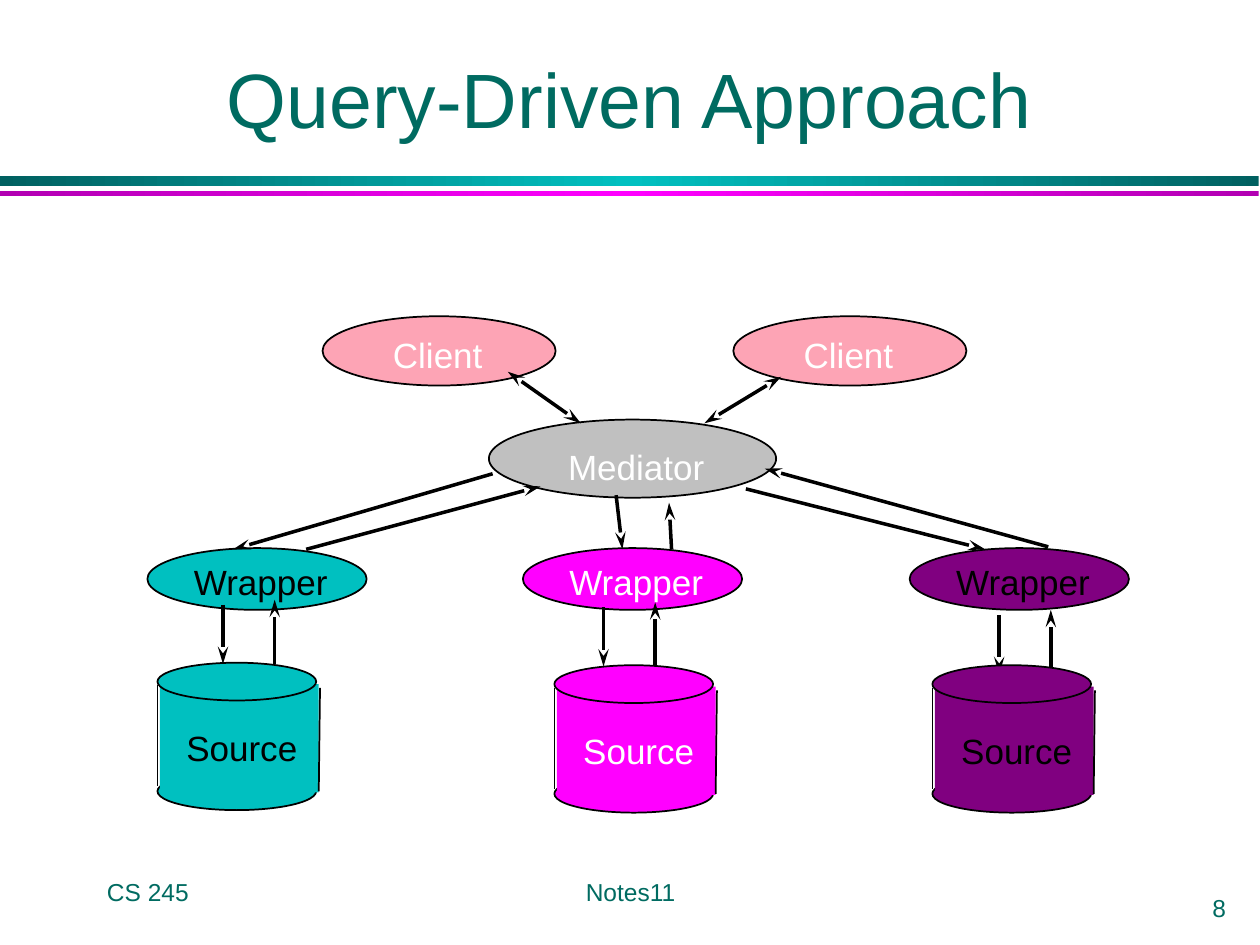
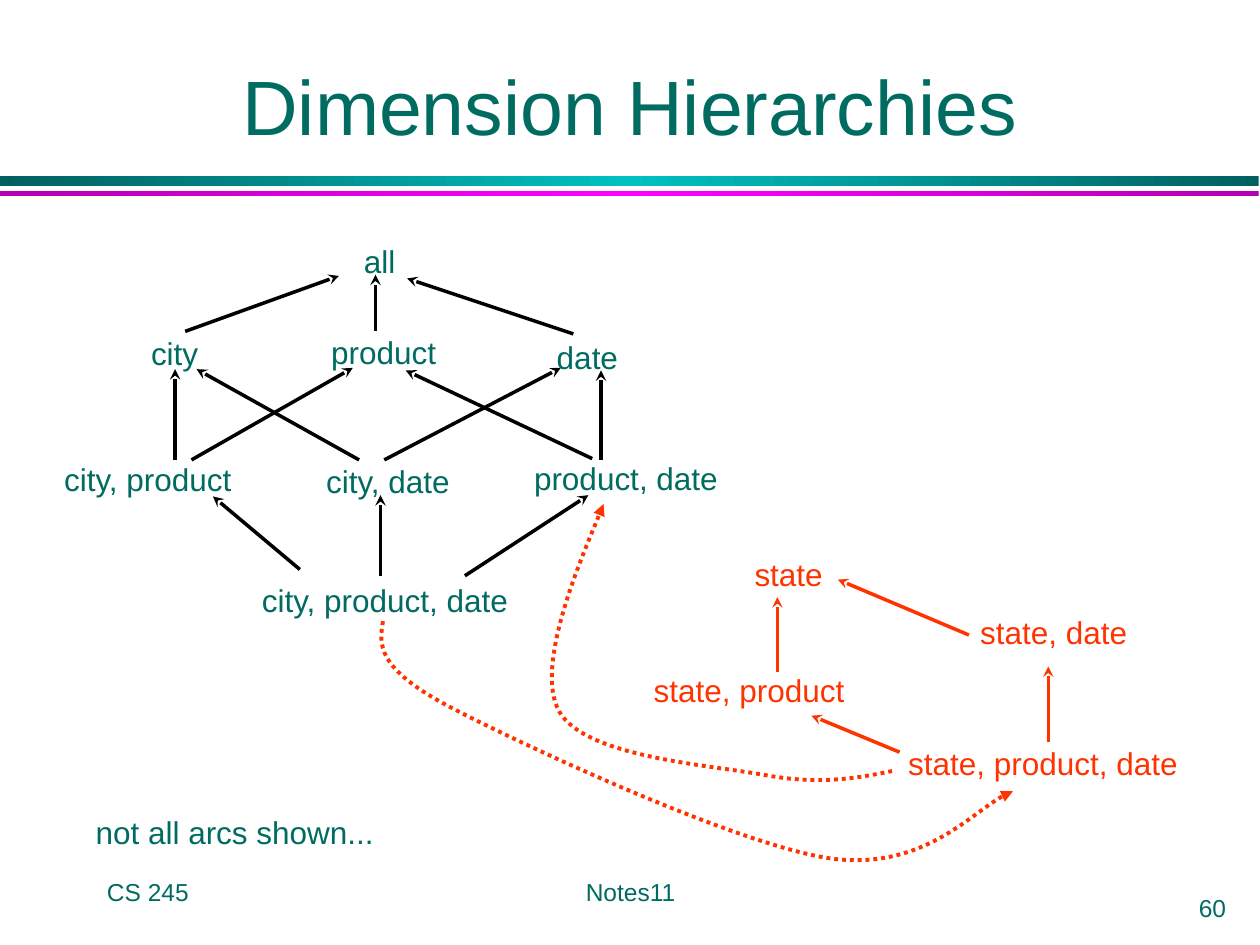
import copy

import pptx
import pptx.dml.color
import pptx.enum.dml
import pptx.enum.shapes
import pptx.enum.text
import pptx.oxml
import pptx.oxml.ns
import pptx.util

Inches = pptx.util.Inches
Pt = pptx.util.Pt
KIND = pptx.enum.shapes.MSO_SHAPE
ANCHOR = pptx.enum.text.MSO_ANCHOR
FIT = pptx.enum.text.MSO_AUTO_SIZE
ALIGN = {
    "l": pptx.enum.text.PP_ALIGN.LEFT,
    "c": pptx.enum.text.PP_ALIGN.CENTER,
    "r": pptx.enum.text.PP_ALIGN.RIGHT,
}

# Shared look
FONT = "Arial"
GREEN, RED, BLACK, WHITE = "006B61", "FF3300", "000000", "FFFFFF"
TEAL, PINK, PURPLE, ROSE, GRAY = "00C0C0", "FF00FF", "800080", "FDA4B5", "C0C0C0"
BANDS = [(1.4, 0.08, "006060", TEAL), (1.52, 0.04, "B200B2", PINK)]


def rgb(code):
    return pptx.dml.color.RGBColor.from_string(code)


def write(frame, text, size=18, color=GREEN, align="l", anchor=ANCHOR.TOP,
          wrap=False, fit=FIT.NONE):
    """Fill a text frame with one formatted line."""
    frame.word_wrap = wrap
    frame.auto_size = fit
    frame.vertical_anchor = anchor
    frame.margin_left = frame.margin_right = Inches(0.1)
    frame.margin_top = frame.margin_bottom = Inches(0.05)
    para = frame.paragraphs[0]
    para.alignment = ALIGN[align]
    run = para.add_run()
    run.text = text
    run.font.name = FONT
    run.font.size = Pt(size)
    run.font.color.rgb = rgb(color)


def label(slide, text, box, **style):
    item = slide.shapes.add_textbox(*map(Inches, box))
    write(item.text_frame, text, **style)


def tag(slide, text, x, y, wide, size=18, color=GREEN):
    """Place a label that grows with its text."""
    high = 0.43 if size == 20 else 0.4
    label(slide, text, (x, y, wide, high), size=size, color=color,
          fit=FIT.SHAPE_TO_FIT_TEXT)


def shape(slide, kind, box, fill, edge=None):
    item = slide.shapes.add_shape(kind, *map(Inches, box))
    item.shadow.inherit = False
    item.fill.solid()
    item.fill.fore_color.rgb = rgb(fill)
    if edge:
        item.line.color.rgb = rgb(edge)
        item.line.width = Pt(1)
    else:
        item.line.fill.background()
    return item


def tip(item, end, kind, size="med"):
    """Add an arrowhead; end is head or tail."""
    line = item._element.spPr.find(pptx.oxml.ns.qn("a:ln"))
    line.append(pptx.oxml.parse_xml(
        f'<a:{end}End {pptx.oxml.ns.nsdecls("a")} type="{kind}" w="med" len="{size}"/>'))


def link(slide, x1, y1, x2, y2, color=BLACK, width=2, ends=("tail",), size="med"):
    item = slide.shapes.add_connector(
        pptx.enum.shapes.MSO_CONNECTOR.STRAIGHT, *map(Inches, (x1, y1, x2, y2)))
    item.line.color.rgb = rgb(color)
    item.line.width = Pt(width)
    for end in ends:
        tip(item, end, "stealth", size)
    item._element.spPr.append(pptx.oxml.parse_xml(
        f'<a:effectLst {pptx.oxml.ns.nsdecls("a")}/>'))


def curve(slide, start, *dots, color=RED):
    """Draw a dotted arrow; each three dots make one cubic curve."""
    pen = slide.shapes.build_freeform(*map(Inches, start))
    pen.add_line_segments([tuple(map(Inches, dot)) for dot in dots], close=False)
    item = pen.convert_to_shape()
    # Turn each run of three straight parts into one cubic part
    parts = list(item._element.iter(pptx.oxml.ns.qn("a:lnTo")))
    for at in range(0, len(parts), 3):
        bend = pptx.oxml.parse_xml(f'<a:cubicBezTo {pptx.oxml.ns.nsdecls("a")}/>')
        parts[at].addprevious(bend)
        for part in parts[at:at + 3]:
            bend.append(part[0])
            part.getparent().remove(part)
    item.shadow.inherit = False
    item.fill.background()
    item.line.color.rgb = rgb(color)
    item.line.width = Pt(2.25)
    item.line.dash_style = pptx.enum.dml.MSO_LINE.ROUND_DOT
    tip(item, "tail", "triangle")


def band(slide, top, high, dark, light):
    """Draw a stripe that is light in the middle."""
    item = shape(slide, KIND.RECTANGLE, (0, top, 9.99, high), light)
    item.fill.gradient()
    item.fill.gradient_angle = 0
    first = item._element.spPr.find(".//" + pptx.oxml.ns.qn("a:gs"))
    first.addnext(copy.deepcopy(first))
    stops = item.fill.gradient_stops
    for stop, place, color in zip(stops, (0, 0.5, 1), (dark, light, dark)):
        stop.position = place
        stop.color.rgb = rgb(color)


def frame(deck, title, box, number):
    """Start a slide with its title, bands and footers."""
    slide = deck.slides.add_slide(deck.slide_layouts[5])
    head = slide.shapes.title
    head.left, head.top, head.width, head.height = map(Inches, box)
    write(head.text_frame, title, size=44, align="c", anchor=ANCHOR.BOTTOM, wrap=True)
    for row in BANDS:
        band(slide, *row)
    for text, place, align in [
        ("CS 245", (0.75, 6.83, 2.08, 0.5), "l"),
        ("Notes11", (3.42, 6.83, 3.17, 0.5), "c"),
        (str(number), (9, 7.08, 0.83, 0.25), "r"),
    ]:
        label(slide, text, place, size=14, align=align, anchor=ANCHOR.MIDDLE, wrap=True)
    return slide


def node(slide, text, box, fill, inset, color):
    """Draw an oval with its label; inset is dx, dy and label width."""
    shape(slide, KIND.OVAL, box, fill, BLACK)
    dx, dy, wide = inset
    tag(slide, text, box[0] + dx, box[1] + dy, wide, 20, color)


def source(slide, x, y, fill, color):
    """Draw a drum from two ovals, a body and two sides."""
    shape(slide, KIND.OVAL, (x, y + 0.87, 1.26, 0.3), fill, BLACK)
    shape(slide, KIND.RECTANGLE, (x + 0.02, y + 0.17, 1.26, 0.86), fill)
    shape(slide, KIND.OVAL, (x, y, 1.26, 0.3), fill, BLACK)
    tag(slide, "Source", x + 0.13, y + 0.46, 1.11, 20, color)
    link(slide, x + 1.29, y + 0.2, x + 1.28, y + 1.02, width=1, ends=())
    link(slide, x, y + 0.18, x, y + 0.98, width=1, ends=())


def query(deck):
    slide = frame(deck, "Query-Driven Approach", (0.4, 0.17, 9.19, 1.02), 8)
    # Wrapper left, arrow left and top, source left and top, fill, text colour
    stacks = [
        (1.17, 1.77, 4.8, 1.25, 5.26, TEAL, BLACK),
        (4.15, 4.79, 4.82, 4.4, 5.28, PINK, WHITE),
        (7.22, 7.93, 4.88, 7.4, 5.28, PURPLE, BLACK),
    ]
    # Ovals
    for x in (2.56, 5.82):
        node(slide, "Client", (x, 2.51, 1.85, 0.55), ROSE, (0.46, 0.09, 0.91), WHITE)
    for x, *_, fill, color in stacks:
        node(slide, "Wrapper", (x, 4.35, 1.74, 0.49), fill, (0.27, 0.05, 1.27), color)
    node(slide, "Mediator", (3.88, 3.33, 2.28, 0.62), GRAY, (0.53, 0.16, 1.29), WHITE)
    # Arrows around the mediator
    for ends in [(4.03, 2.95, 4.61, 3.36), (6.2, 2.99, 5.59, 3.36)]:
        link(slide, *ends, ends=("head", "tail"), size="lg")
    for ends in [
        (3.91, 3.76, 1.85, 4.36), (2.43, 4.36, 4.29, 3.86),
        (4.89, 3.93, 4.94, 4.36), (5.33, 4.36, 5.31, 3.99),
        (5.92, 3.88, 7.82, 4.36), (8.32, 4.34, 6.07, 3.72),
    ]:
        link(slide, *ends, size="lg")
    # Arrow pairs, then the sources that cover their ends
    for _, x, y, *_ in stacks:
        link(slide, x, y, x, y + 0.47, size="lg")
        link(slide, x + 0.41, y + 0.47, x + 0.41, y - 0.04, size="lg")
    for _, _, _, x, y, fill, color in stacks:
        source(slide, x, y, fill, color)


def graph(slide, color, names, arcs):
    """Draw the labels and arrows of one lattice."""
    for name in names:
        tag(slide, *name, color=color)
    for arc in arcs:
        link(slide, *arc, color=BLACK if color == GREEN else color)


def levels(deck):
    slide = frame(deck, "Dimension Hierarchies", (0.75, 0.25, 8.5, 1), 60)
    # City lattice
    graph(slide, GREEN, [
        ("all", 2.79, 1.87, 0.45),
        ("city", 1.1, 2.6, 0.58),
        ("product", 2.53, 2.59, 1.04),
        ("date", 4.32, 2.63, 0.69),
        ("city, product", 0.41, 3.6, 1.55),
        ("city, date", 2.49, 3.62, 1.2),
        ("product, date", 4.14, 3.59, 1.66),
        ("city, product, date", 1.98, 4.56, 2.18),
        ("not all arcs shown...", 0.66, 6.4, 2.41),
    ], [
        (2.38, 4.52, 1.69, 3.94), (3.02, 4.57, 3.02, 3.93), (3.69, 4.57, 4.67, 3.93),
        (1.39, 3.65, 1.39, 2.93), (4.77, 3.65, 4.77, 2.94), (1.52, 3.65, 2.8, 2.92),
        (2.85, 3.65, 1.56, 2.93), (3.05, 3.65, 4.45, 2.92), (4.7, 3.64, 3.22, 2.94),
        (1.47, 2.63, 2.69, 2.19), (2.98, 2.63, 2.98, 2.18), (4.55, 2.65, 3.23, 2.21),
    ])
    # State lattice
    graph(slide, RED, [
        ("state", 5.89, 4.36, 0.74),
        ("state, date", 7.68, 4.82, 1.38),
        ("state, product", 5.09, 5.28, 1.73),
        ("state, product, date", 7.11, 5.86, 2.35),
    ], [
        (8.32, 5.89, 8.32, 5.29), (7.14, 5.97, 6.44, 5.68),
        (7.69, 5.04, 6.65, 4.6), (6.17, 5.33, 6.17, 4.74),
    ])
    # Dotted arcs between the two
    curve(slide, (3.04, 4.93),
          (3.01, 5.11), (2.98, 5.3), (3.57, 5.61),
          (4.16, 5.92), (5.82, 6.69), (6.57, 6.81),
          (7.31, 6.92), (7.78, 6.37), (8.04, 6.28))
    curve(slide, (7.08, 6.12),
          (6.79, 6.18), (6.49, 6.23), (6.06, 6.15),
          (5.62, 6.07), (4.65, 6.01), (4.44, 5.65),
          (4.23, 5.29), (4.71, 4.21), (4.79, 4))


def main():
    deck = pptx.Presentation()
    deck.slide_width, deck.slide_height = Inches(10), Inches(7.5)
    query(deck)
    levels(deck)
    deck.save("out.pptx")


if __name__ == "__main__":
    main()
